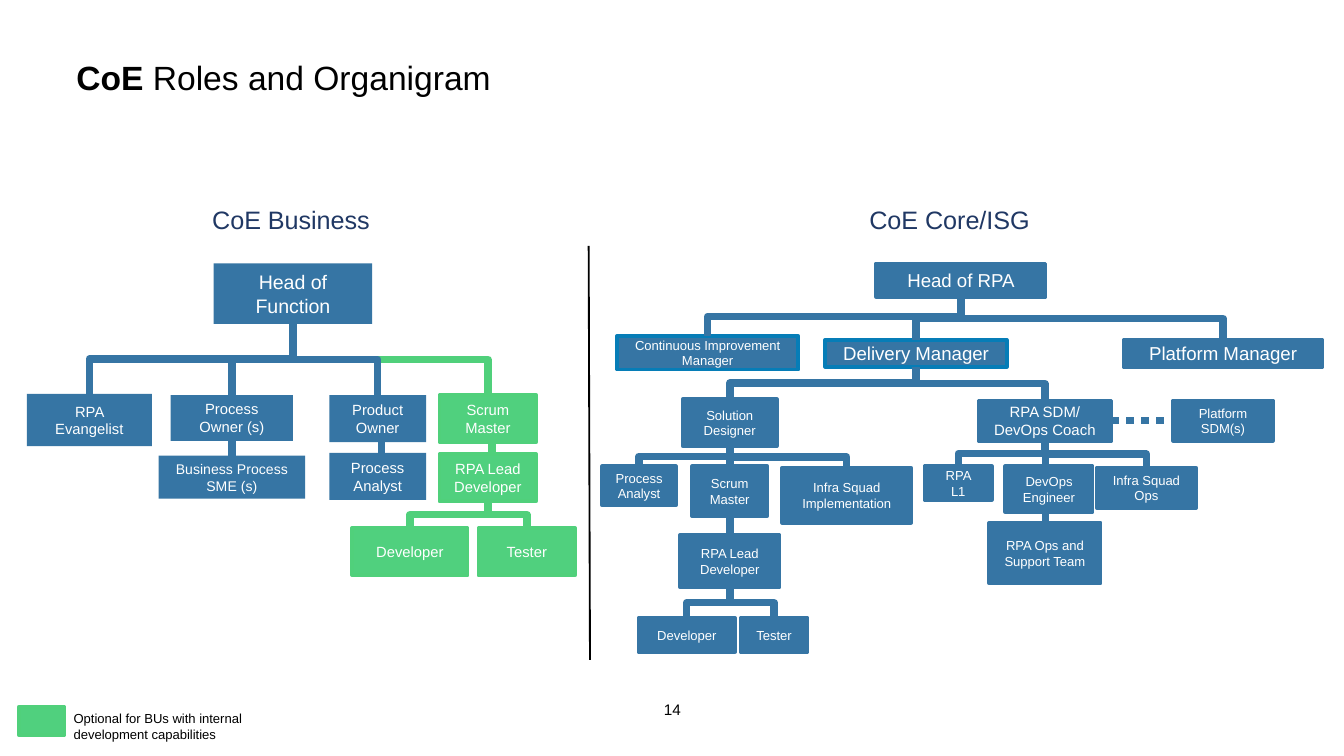
"""Build the CoE roles and organigram slide."""
from pptx import Presentation
from pptx.dml.color import RGBColor
from pptx.enum.dml import MSO_LINE
from pptx.enum.shapes import MSO_CONNECTOR, MSO_SHAPE
from pptx.enum.text import MSO_ANCHOR, PP_ALIGN
from pptx.oxml.ns import qn
from pptx.util import Inches, Pt

RECT = MSO_SHAPE.RECTANGLE
LINE, ELBOW = MSO_CONNECTOR.STRAIGHT, MSO_CONNECTOR.ELBOW
DOTS = MSO_LINE.ROUND_DOT
MIDDLE, TOP = MSO_ANCHOR.MIDDLE, MSO_ANCHOR.TOP
CENTER, LEFT = PP_ALIGN.CENTER, PP_ALIGN.LEFT


class Theme:
    font = "Arial"
    blue = RGBColor.from_string("3675A4")
    edge = RGBColor.from_string("067DB7")
    green = RGBColor.from_string("50D07E")
    rim = RGBColor.from_string("50D07B")
    navy = RGBColor.from_string("203864")
    black = RGBColor.from_string("000000")
    white = RGBColor.from_string("FFFFFF")
    title, head, lead, chief = 18, 13.5, 10.5, 10
    page, coach, role, sme, small = 8.2, 8, 7.9, 7.5, 7


def write(shape, runs, size, color, align=CENTER, anchor=MIDDLE, wrap=True):
    frame = shape.text_frame
    frame.word_wrap = wrap
    frame.vertical_anchor = anchor
    para = frame.paragraphs[0]
    para.alignment = align
    for text, bold in runs:
        run = para.add_run()
        run.text = text
        run.font.name = Theme.font
        run.font.size = Pt(size)
        run.font.bold = bold
        run.font.color.rgb = color


def stroke(line, color, width):
    line.line.color.rgb = color
    line.line.width = Pt(width)
    props = line._element.spPr
    props.append(props.makeelement(qn("a:effectLst"), {}))


deck = Presentation()
deck.slide_width = Inches(10)
deck.slide_height = deck.slide_width * 9 // 16
slide = deck.slides.add_slide(deck.slide_layouts[6])
shapes = slide.shapes

texts = [
    (0.47, 0.32, 9.03, 0.5, [("CoE ", True), ("Roles and Organigram", False)],
     Theme.title, Theme.black, LEFT, True, 0.1, 0.1),
    (1.47, 1.47, 1.39, 0.33, [("CoE Business", False)],
     Theme.head, Theme.navy, CENTER, False, 0.1, 0.05),
    (6.36, 1.47, 1.41, 0.33, [("CoE Core/ISG", False)],
     Theme.head, Theme.navy, CENTER, False, 0.1, 0.05),
    (0.45, 5.24, 1.83, 0.45,
     [("Optional for BUs with internal development capabilities", False)],
     Theme.small, Theme.black, LEFT, True, 0.1, 0.05),
    (4.94, 5.21, 0.2, 0.14, [("14", False)],
     Theme.page, Theme.black, LEFT, False, 0, 0),
]
for x, y, w, h, runs, size, color, align, wrap, side, pad in texts:
    box = shapes.add_textbox(Inches(x), Inches(y), Inches(w), Inches(h))
    frame = box.text_frame
    frame.margin_left = frame.margin_right = Inches(side)
    frame.margin_top = frame.margin_bottom = Inches(pad)
    write(box, runs, size, color, align, TOP, wrap)

rules = [
    (2.84, 3.22, 2.84, 3.37, Theme.blue, 4),
    (3.66, 3.21, 3.66, 3.38, Theme.rim, 4),
    (7.78, 3.26, 7.78, 3.47, Theme.blue, 4),
    (7.78, 3.78, 7.78, 3.89, Theme.blue, 4),
    (4.39, 4.91, 4.38, 1.83, Theme.black, 1),
]
for x, y, right, low, color, width in rules:
    rule = shapes.add_connector(LINE, Inches(x), Inches(y), Inches(right), Inches(low))
    stroke(rule, color, width)

plain = (Theme.blue, None)
core = (Theme.blue, Theme.blue)
key = (Theme.blue, Theme.edge)
extra = (Theme.green, Theme.rim)
roles = [
    ("head", "Head of Function", 1.59, 1.96, 1.18, 0.45, Theme.lead, plain),
    ("herald", "RPA Evangelist", 0.2, 2.93, 0.93, 0.39, Theme.role, plain),
    ("owner", "Process Owner (s)", 1.27, 2.94, 0.91, 0.34, Theme.role, plain),
    ("sme", "Business Process SME (s)", 1.18, 3.39, 1.09, 0.32, Theme.sme, plain),
    ("product", "Product Owner", 2.45, 2.94, 0.72, 0.35, Theme.role, plain),
    ("analyst", "Process Analyst", 2.45, 3.37, 0.72, 0.35, Theme.role, plain),
    ("scrum", "Scrum Master", 3.27, 2.94, 0.72, 0.35, Theme.role, extra),
    ("lead", "RPA Lead Developer", 3.27, 3.38, 0.72, 0.35, Theme.role, extra),
    ("coder", "Developer", 2.62, 3.93, 0.86, 0.35, Theme.role, extra),
    ("tester", "Tester", 3.56, 3.93, 0.72, 0.35, Theme.role, extra),
    ("legend", "", 0.14, 5.26, 0.34, 0.21, Theme.small, extra),
    ("chief", "Head of RPA", 6.52, 1.96, 1.26, 0.25, Theme.chief, core),
    ("improve", "Continuous Improvement Manager", 4.59, 2.5, 1.35, 0.25, Theme.small, key),
    ("deliver", "Delivery Manager", 6.14, 2.53, 1.35, 0.2, Theme.chief, key),
    ("platform", "Platform Manager", 8.36, 2.53, 1.48, 0.2, Theme.chief, core),
    ("design", "Solution Designer", 5.08, 2.97, 0.7, 0.35, Theme.small, core),
    ("coach", "RPA SDM/ DevOps Coach", 7.28, 2.98, 0.99, 0.3, Theme.coach, core),
    ("sdm", "Platform SDM(s)", 8.73, 2.98, 0.74, 0.3, Theme.small, core),
    ("process", "Process Analyst", 4.48, 3.47, 0.55, 0.29, Theme.small, core),
    ("master", "Scrum Master", 5.15, 3.47, 0.56, 0.37, Theme.small, core),
    ("infra", "Infra Squad Implementation", 5.82, 3.48, 0.96, 0.41, Theme.small, core),
    ("level", "RPA L1", 6.88, 3.47, 0.5, 0.25, Theme.small, core),
    ("devops", "DevOps Engineer", 7.48, 3.47, 0.65, 0.34, Theme.small, core),
    ("squad", "Infra Squad Ops", 8.16, 3.48, 0.74, 0.3, Theme.small, core),
    ("build", "RPA Lead Developer", 5.06, 3.98, 0.74, 0.39, Theme.small, core),
    ("support", "RPA Ops and Support Team", 7.36, 3.89, 0.83, 0.45, Theme.small, core),
    ("maker", "Developer", 4.75, 4.6, 0.72, 0.25, Theme.small, core),
    ("check", "Tester", 5.51, 4.6, 0.5, 0.25, Theme.small, core),
]
boxes = {}
for name, text, x, y, w, h, size, (fill, rim) in roles:
    box = shapes.add_shape(RECT, Inches(x), Inches(y), Inches(w), Inches(h))
    box.shadow.inherit = False
    box.fill.solid()
    box.fill.fore_color.rgb = fill
    if rim is None:
        box.line.fill.background()
    else:
        box.line.color.rgb = rim
        box.line.width = Pt(2)
    if text:
        write(box, [(text, False)], size, Theme.white)
    boxes[name] = box

trees = [
    ("head", ["scrum"], Theme.rim),
    ("head", ["herald", "owner", "product"], Theme.blue),
    ("lead", ["coder", "tester"], Theme.rim),
    ("chief", ["improve", "deliver", "platform"], Theme.blue),
    ("deliver", ["design", "coach"], Theme.blue),
    ("design", ["process", "infra"], Theme.blue),
    ("coach", ["level", "squad"], Theme.blue),
    ("build", ["maker", "check"], Theme.blue),
]
for top, kids, color in trees:
    for kid in kids:
        link = shapes.add_connector(ELBOW, 0, 0, 0, 0)
        link.begin_connect(boxes[top], 2)
        link.end_connect(boxes[kid], 0)
        across, down = link.end_x - link.begin_x, link.end_y - link.begin_y
        mid_x = (link.begin_x + link.end_x) // 2
        mid_y = (link.begin_y + link.end_y) // 2
        link.width, link.height = abs(down), abs(across)
        link.left, link.top = mid_x - link.width // 2, mid_y - link.height // 2
        frame = link._element.spPr.find(qn("a:xfrm"))
        frame.set("rot", str((90 if across < 0 else 270) * 60000))
        frame.set("flipH", "0" if across < 0 else "1")
        frame.set("flipV", "0")
        stroke(link, color, 4)

pairs = [
    ("owner", 2, "sme", 0),
    ("design", 2, "master", 0),
    ("master", 2, "build", 0),
    ("coach", 3, "sdm", 1),
]
for start, out, end, side in pairs:
    link = shapes.add_connector(LINE, 0, 0, 0, 0)
    link.begin_connect(boxes[start], out)
    link.end_connect(boxes[end], side)
    stroke(link, Theme.blue, 4)
    if end == "sdm":
        link.line.dash_style = DOTS

deck.save("out.pptx")
